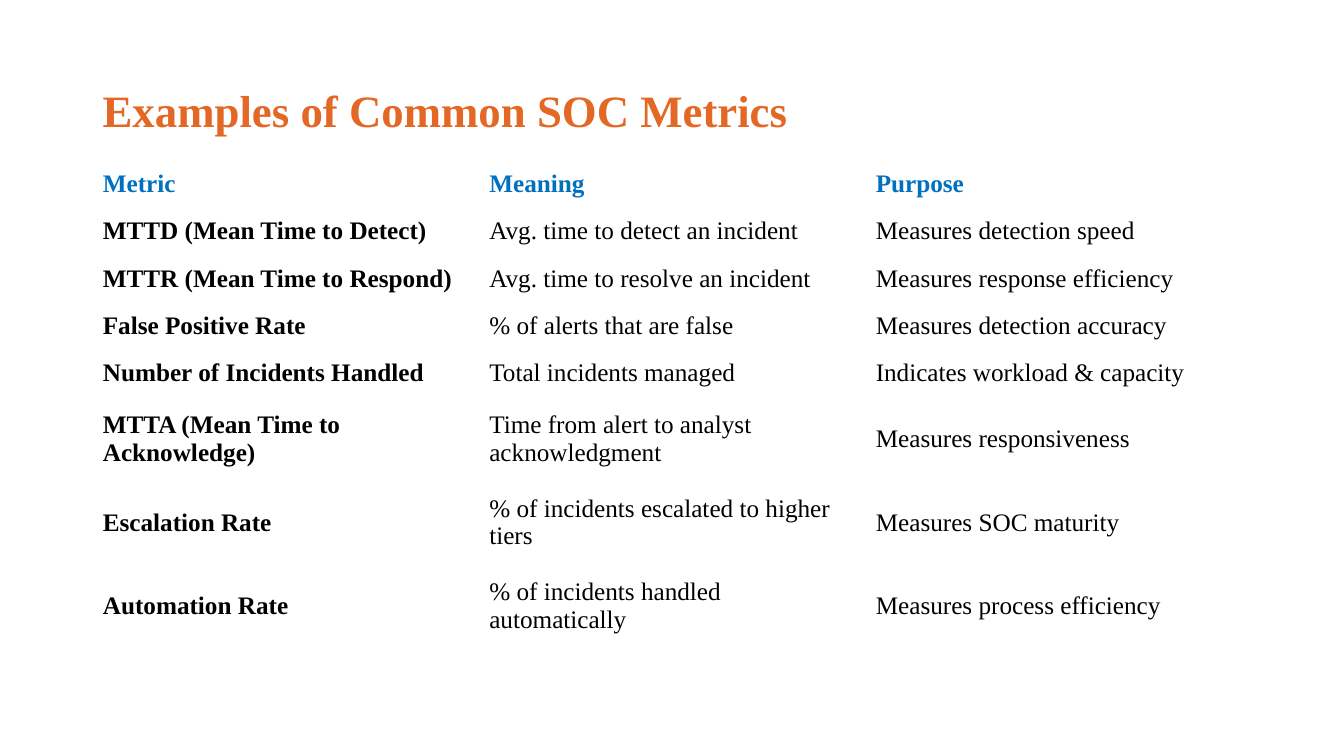
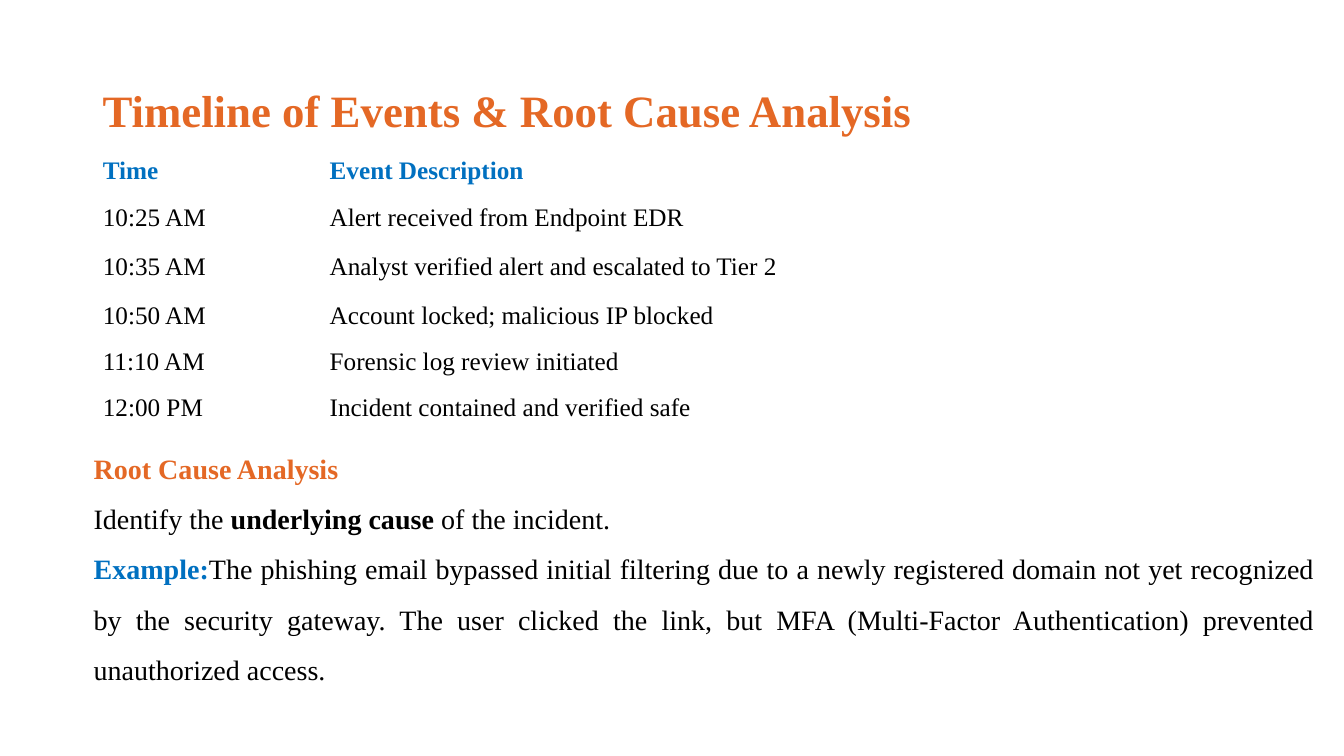
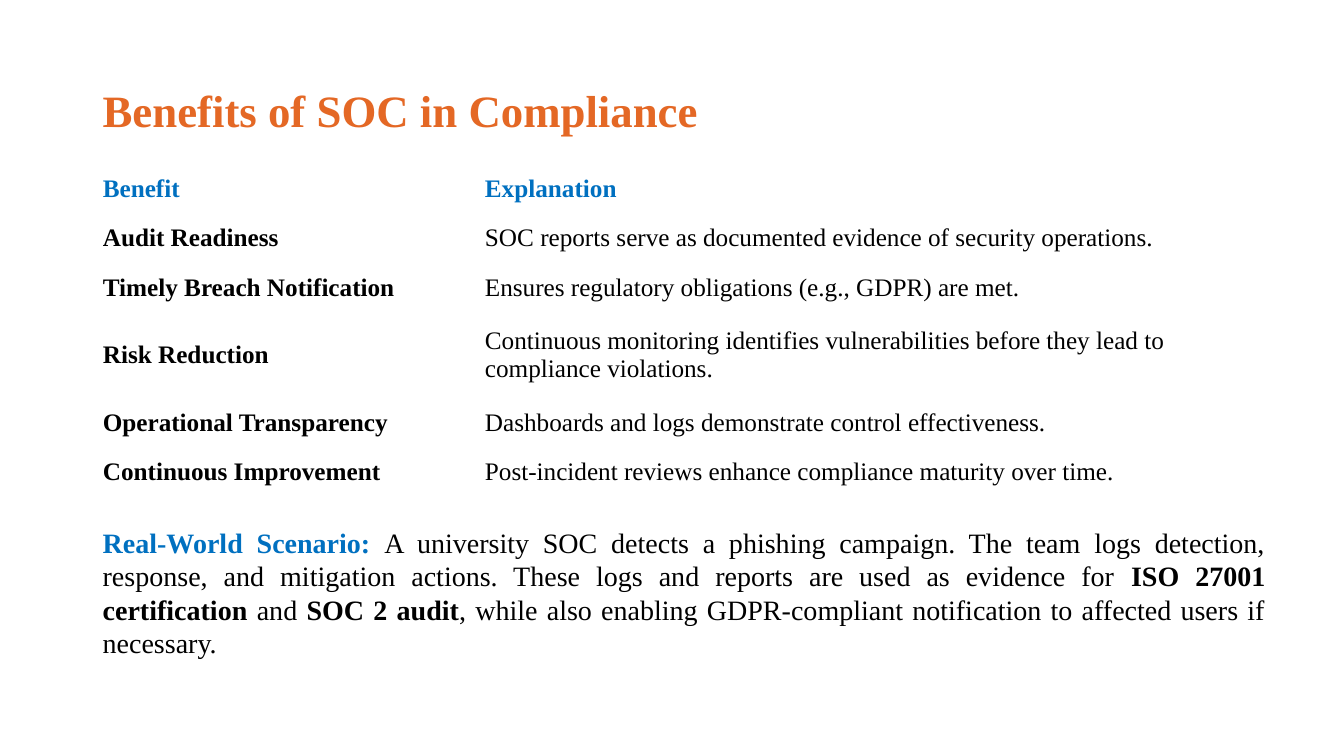
from pptx import Presentation
from pptx.dml.color import RGBColor
from pptx.enum.text import MSO_ANCHOR as Anchor, PP_ALIGN as Align
from pptx.util import Inches, Pt

FACE = "Times New Roman"
ORANGE, BLUE, BLACK = "E46825", "0070C0", "000000"
LEFT, WIDTH = 0.92, 11.5

METRICS = [
    ("Metric", "Meaning", "Purpose"),
    ("MTTD (Mean Time to Detect)", "Avg. time to detect an incident", "Measures detection speed"),
    ("MTTR (Mean Time to Respond)", "Avg. time to resolve an incident", "Measures response efficiency"),
    ("False Positive Rate", "% of alerts that are false", "Measures detection accuracy"),
    ("Number of Incidents Handled", "Total incidents managed", "Indicates workload & capacity"),
    ("MTTA (Mean Time to Acknowledge)", "Time from alert to analyst acknowledgment", "Measures responsiveness"),
    ("Escalation Rate", "% of incidents escalated to higher tiers", "Measures SOC maturity"),
    ("Automation Rate", "% of incidents handled automatically", "Measures process efficiency"),
]
EVENTS = [
    ("Time", "Event Description"),
    ("10:25 AM", "Alert received from Endpoint EDR"),
    ("10:35 AM", "Analyst verified alert and escalated to Tier 2"),
    ("10:50 AM", "Account locked; malicious IP blocked"),
    ("11:10 AM", "Forensic log review initiated"),
    ("12:00 PM", "Incident contained and verified safe"),
]
BENEFITS = [
    ("Benefit", "Explanation"),
    ("Audit Readiness", "SOC reports serve as documented evidence of security operations."),
    ("Timely Breach Notification", "Ensures regulatory obligations (e.g., GDPR) are met."),
    ("Risk Reduction", "Continuous monitoring identifies vulnerabilities before they lead to compliance violations."),
    ("Operational Transparency", "Dashboards and logs demonstrate control effectiveness."),
    ("Continuous Improvement", "Post-incident reviews enhance compliance maturity over time."),
]
CAUSE = [
    [("Root Cause Analysis", ORANGE, True)],
    [("Identify the ", BLACK, False), ("underlying cause", BLACK, True),
     (" of the incident.", BLACK, False)],
    [("Example:", BLUE, True),
     ("The phishing email bypassed initial filtering due to a newly registered domain not yet "
      "recognized by the security gateway. The user clicked the link, but MFA (Multi-Factor "
      "Authentication) prevented unauthorized access.", BLACK, False)],
]
SCENE = [
    [("Real-World Scenario: ", BLUE, True),
     ("A university SOC detects a phishing campaign. The team logs detection, response, and "
      "mitigation actions. These logs and reports are used as evidence for ", BLACK, False),
     ("ISO 27001 certification", BLACK, True), (" and ", BLACK, False),
     ("SOC 2 audit", BLACK, True),
     (", while also enabling GDPR-compliant notification to affected users if necessary.",
      BLACK, False)],
]


def tint(font, color, bold):
    font.color.rgb = RGBColor.from_string(color)
    font.bold = bold


def style(par, size, color, bold):
    par.font.name = FACE
    par.font.size = Pt(size)
    tint(par.font, color, bold)


def add_box(slide, box):
    frame = slide.shapes.add_textbox(*map(Inches, box)).text_frame
    frame.word_wrap = True
    frame.vertical_anchor = Anchor.MIDDLE
    return frame


def add_title(slide, text):
    par = add_box(slide, (LEFT, 0.4, WIDTH, 1.45)).paragraphs[0]
    par.text = text
    par.line_spacing = 0.9
    style(par, 32, ORANGE, True)


def add_grid(slide, top, widths, heights, rows, lead=True):
    box = (LEFT, top, sum(widths), sum(heights))
    grid = slide.shapes.add_table(len(rows), len(widths), *map(Inches, box)).table
    grid.first_row = grid.horz_banding = False
    for col, width in zip(grid.columns, widths):
        col.width = Inches(width)
    for r, (row, height) in enumerate(zip(rows, heights)):
        grid.rows[r].height = Inches(height)
        for c, text in enumerate(row):
            cell = grid.cell(r, c)
            cell.fill.background()
            cell.vertical_anchor = Anchor.MIDDLE
            par = cell.text_frame.paragraphs[0]
            par.text = text
            style(par, 18, BLACK if r else BLUE, r == 0 or (lead and c == 0))


def add_prose(slide, box, lines, gap):
    frame = add_box(slide, box)
    for i, parts in enumerate(lines):
        par = frame.add_paragraph() if i else frame.paragraphs[0]
        par.alignment = Align.JUSTIFY
        par.line_spacing = gap
        style(par, 20, BLACK, False)
        for text, color, bold in parts:
            run = par.add_run()
            run.text = text
            tint(run.font, color, bold)


def main():
    deck = Presentation()
    deck.slide_width, deck.slide_height = Inches(13.33), Inches(7.5)

    def new_slide(title):
        slide = deck.slides.add_slide(deck.slide_layouts[6])
        add_title(slide, title)
        return slide

    slide = new_slide("Examples of Common SOC Metrics")
    add_grid(slide, 1.59, [WIDTH / 3] * 3, [0.47] * 5 + [0.83] * 3, METRICS)

    slide = new_slide("Timeline of Events & Root Cause Analysis")
    add_grid(slide, 1.47, [2.25, 9.33], [0.46, 0.46, 0.51] + [0.46] * 3, EVENTS, lead=False)
    add_prose(slide, (0.83, 4.28, 12.31, 2.56), CAUSE, 1.5)

    slide = new_slide("Benefits of SOC in Compliance")
    add_grid(slide, 1.63, [3.79, 7.71], [0.49] * 3 + [0.85] + [0.49] * 2, BENEFITS)
    add_prose(slide, (LEFT, 5.15, 11.73, 1.45), SCENE, 1.0)

    deck.save("out.pptx")


if __name__ == "__main__":
    main()
